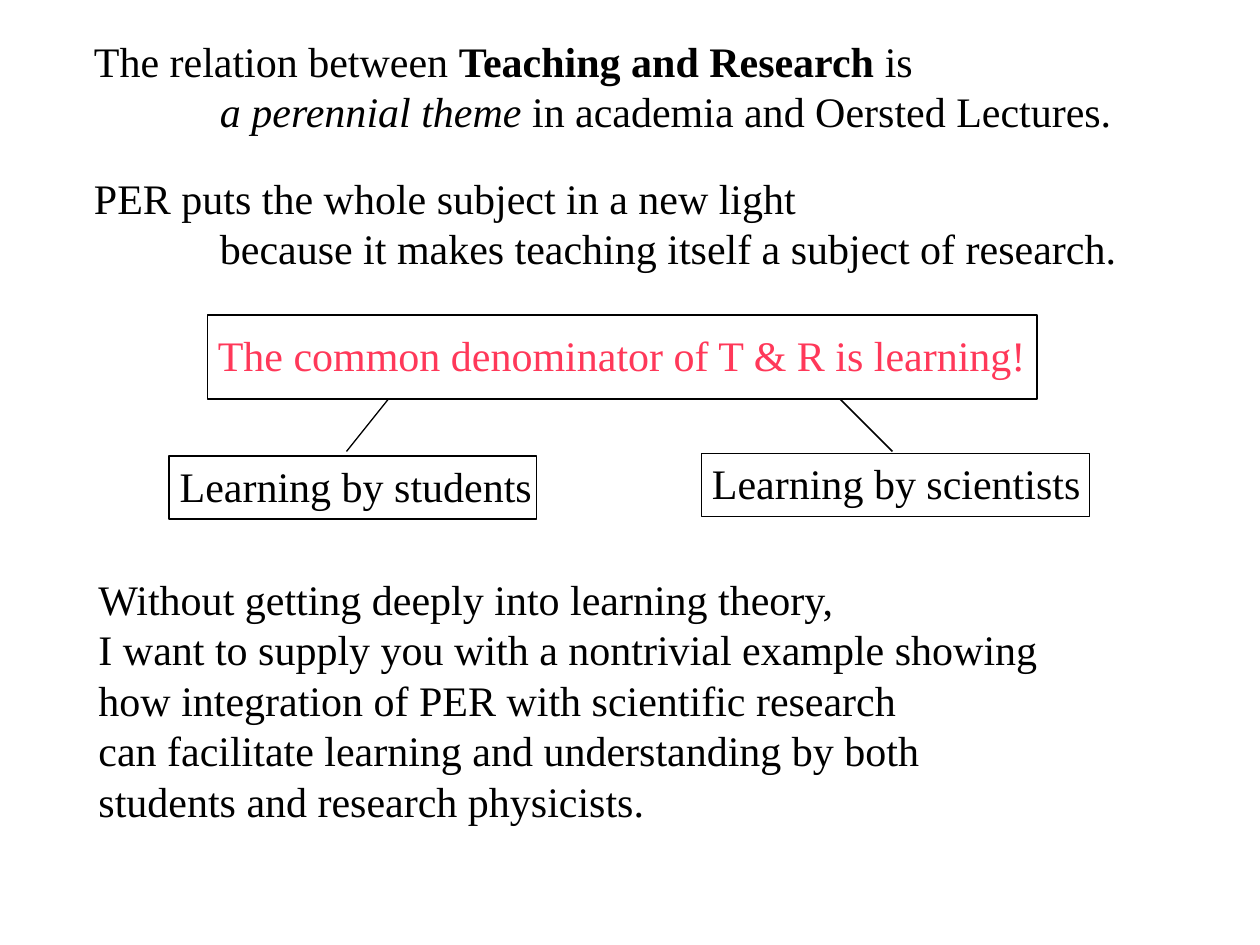
from lxml.etree import SubElement
from pptx import Presentation
from pptx.dml.color import RGBColor as Color
from pptx.enum.shapes import MSO_AUTO_SHAPE_TYPE as Shape, MSO_CONNECTOR as Connector
from pptx.enum.text import MSO_AUTO_SIZE as AutoSize
from pptx.oxml.ns import qn
from pptx.util import Pt

COLORS = {"ink": "000000", "accent": "FF3859"}


class SlideBuilder:
    """Holds the text style and the page being drawn."""

    font_name = "Times New Roman"
    font_size = 24
    tab_stop = 72

    def __init__(self, page):
        self.page = page

    def text(self, left, top, width, height, lines, color="ink"):
        """Each line is a list of (words, style) spans; style is "", "bold" or "italic"."""
        box = self.page.shapes.add_textbox(Pt(left), Pt(top), Pt(width), Pt(height))
        frame = box.text_frame
        frame.word_wrap = True
        frame.auto_size = AutoSize.NONE
        for index, spans in enumerate(lines):
            para = frame.paragraphs[0] if index == 0 else frame.add_paragraph()
            tabs = SubElement(para._p.get_or_add_pPr(), qn("a:tabLst"))
            SubElement(tabs, qn("a:tab"), pos=str(Pt(self.tab_stop)), algn="l")
            for words, style in spans:
                span = para.add_run()
                span.text = words
                span.font.name = self.font_name
                span.font.size = Pt(self.font_size)
                span.font.bold = style == "bold"
                span.font.italic = style == "italic"
                span.font.color.rgb = Color.from_string(COLORS[color])

    def plain_text(self, left, top, width, height, lines, color="ink"):
        self.text(left, top, width, height, [[(line, "")] for line in lines], color)

    def frame(self, left, top, width, height):
        box = self.page.shapes.add_shape(
            Shape.RECTANGLE, Pt(left), Pt(top), Pt(width), Pt(height))
        box.shadow.inherit = False
        box.fill.background()
        self.outline(box, 0.75)

    def line(self, start, end, weight):
        link = self.page.shapes.add_connector(
            Connector.STRAIGHT, *(Pt(value) for value in start + end))
        SubElement(link._element.spPr, qn("a:effectLst"))
        self.outline(link, weight)

    def outline(self, shape, weight):
        shape.line.color.rgb = Color.from_string(COLORS["ink"])
        shape.line.width = Pt(weight)


def main():
    deck = Presentation()
    deck.slide_width, deck.slide_height = Pt(720), Pt(540)
    builder = SlideBuilder(deck.slides.add_slide(deck.slide_layouts[6]))

    # Opening statements
    builder.text(46.6, 16.6, 605, 65, [
        [("The relation between ", ""), ("Teaching and Research ", "bold"), ("is", "")],
        [("\t", ""), ("a perennial theme", "italic"),
         (" in academia and Oersted Lectures.", "")],
    ])
    builder.plain_text(46.6, 94.8, 605, 65, [
        "PER puts the whole subject in a new light",
        "\tbecause it makes teaching itself a subject of research.",
    ])

    # Common denominator
    builder.plain_text(117.4, 185, 488, 36,
                       ["The common denominator of T & R is learning!"], "accent")
    builder.frame(118.6, 180, 474, 48)

    # Two kinds of learning
    for words, left, top, text_width, frame_width in (
        ("Learning by students", 95.6, 259.4, 220, 210),
        ("Learning by scientists", 399.8, 257.8, 230, 222),
    ):
        builder.plain_text(left, top, text_width, 36, [words])
        builder.frame(left + 1, top + 1.2, frame_width, 36)

    # Branches
    builder.line((480, 228), (510, 258), 1)
    builder.line((222, 228), (198, 258), 0.75)

    # Closing aim
    builder.plain_text(49.2, 324.2, 556, 151, [
        "Without getting deeply into learning theory,",
        "I want to supply you with a nontrivial example showing",
        "how integration of PER with scientific research",
        "can facilitate learning and understanding by both",
        "students and research physicists.",
    ])

    deck.save("out.pptx")


if __name__ == "__main__":
    main()
